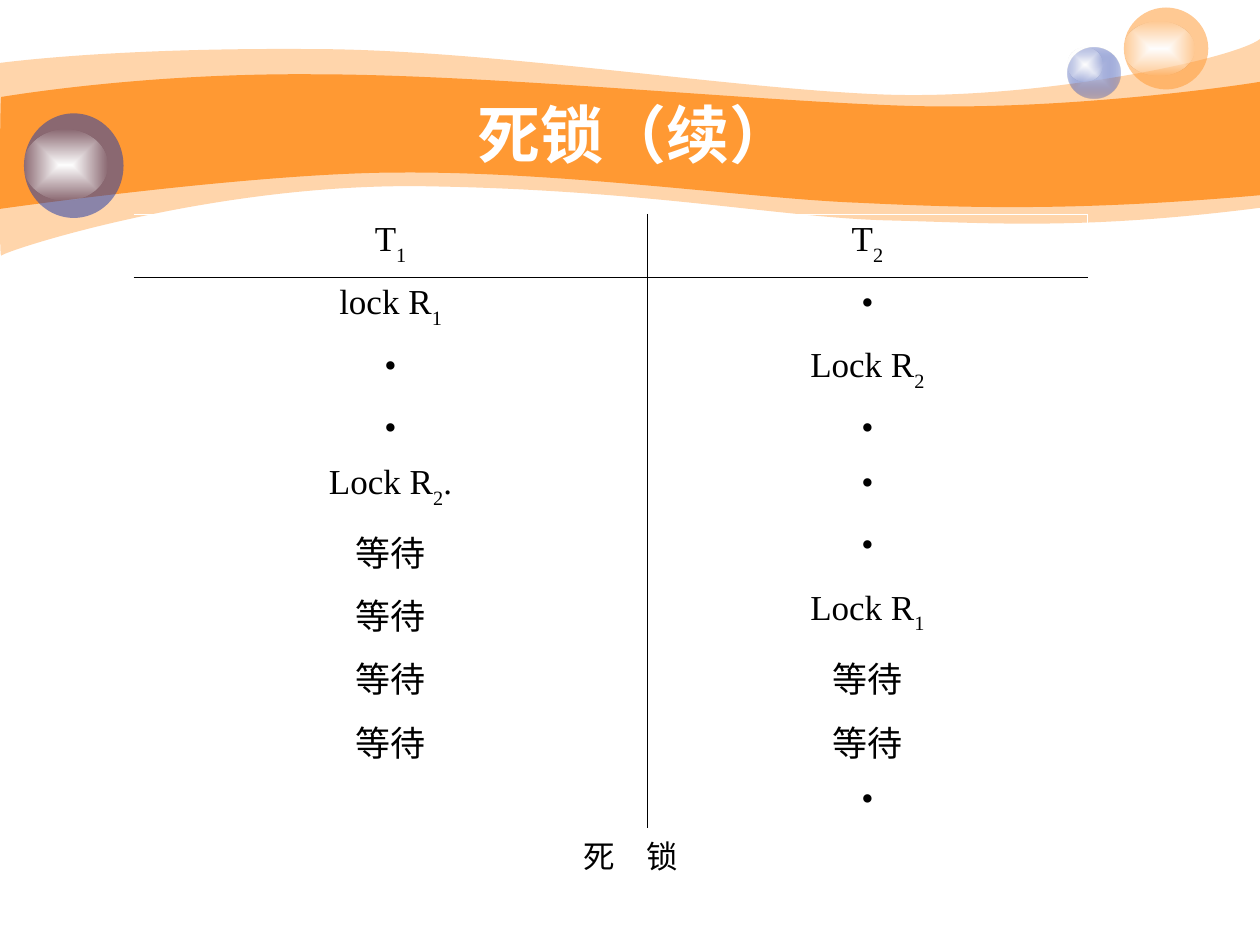
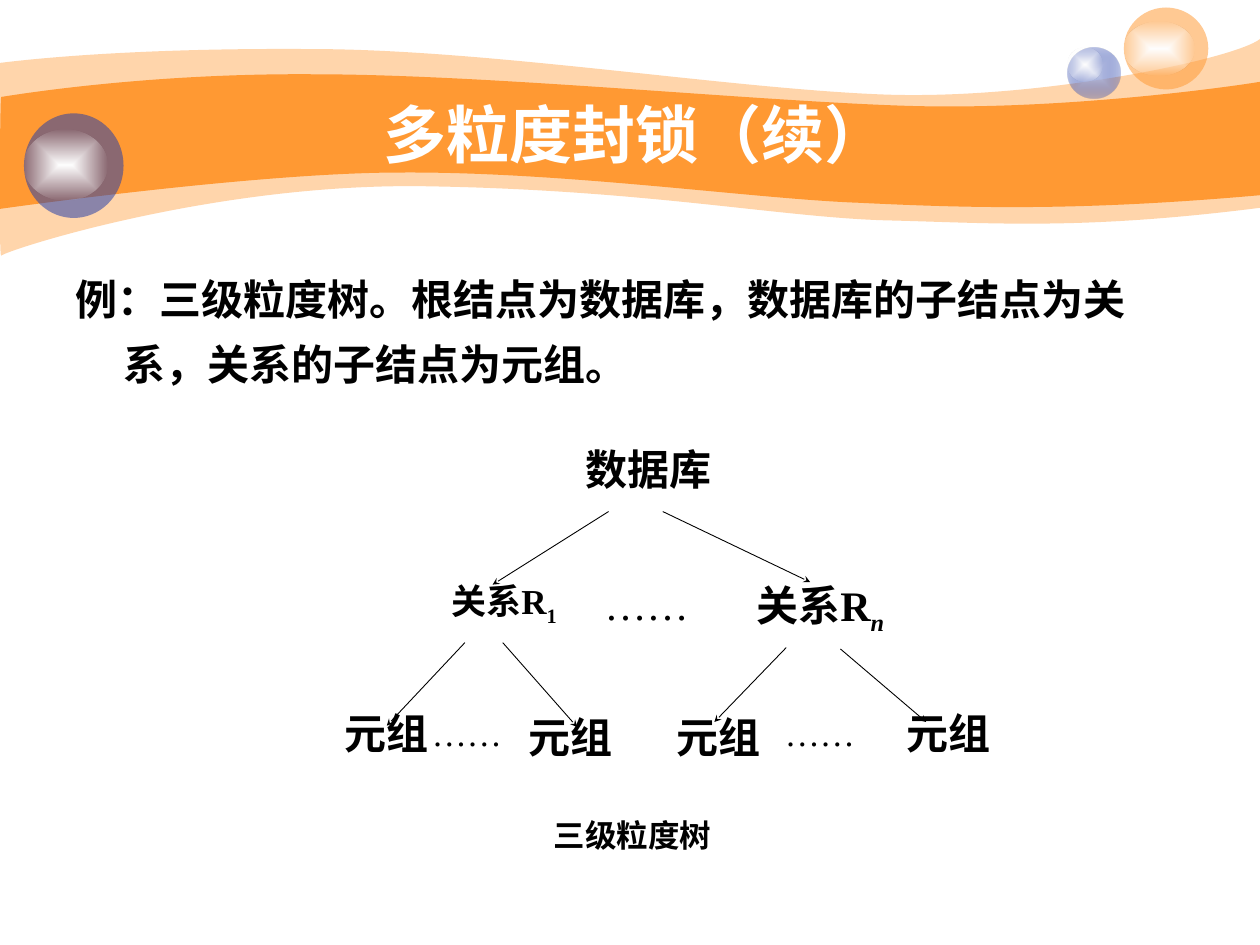
"""Build two lecture slides on deadlock and multi-granularity locking."""
from dataclasses import dataclass

from lxml import etree
from pptx import Presentation
from pptx.dml.color import RGBColor
from pptx.enum.shapes import MSO_CONNECTOR, MSO_SHAPE
from pptx.enum.text import MSO_ANCHOR, MSO_AUTO_SIZE, PP_ALIGN
from pptx.oxml.ns import qn
from pptx.util import Inches, Pt

LINE = MSO_CONNECTOR.STRAIGHT
OVAL = MSO_SHAPE.OVAL
MID, TOP = MSO_ANCHOR.MIDDLE, MSO_ANCHOR.TOP
FIXED = MSO_AUTO_SIZE.NONE
LEFT, CENTER = PP_ALIGN.LEFT, PP_ALIGN.CENTER
WIDTH, HEIGHT = Inches(10), Inches(7.5)
COLUMN = WIDTH / 10
NO_STYLE = "{2D5ABB26-0587-4C30-8999-92F81FD0307C}"


@dataclass(frozen=True)
class Theme:
    """Colours, fonts and type sizes."""
    orange: str = "FF9933"
    blue: str = "233DA9"
    pale: str = "C7CEE9"
    white: str = "FFFFFF"
    black: str = "000000"
    sans: str = "Arial"
    serif: str = "Times New Roman"
    han: str = "Noto Sans CJK SC"
    head: int = 36
    body: int = 24
    cell: int = 20
    note: int = 18
    rule: float = 0.45
    arrow: float = 0.5


THEME = Theme()

WAVES = [
    ((0, 0.5), 41, [
        [(0.24, 0.47), (1.07, 0.38), (2.47, 0.39)],
        [(3.86, 0.39), (5.75, 0.7), (6.99, 0.75)],
        [(8.22, 0.8), (9.8, 0.47), (10, 0.31)],
        [(10, 1.65)],
        [(8.58, 1.83), (7.87, 1.77), (7.05, 1.75)],
        [(6.22, 1.73), (5.15, 1.51), (3.43, 1.48)],
        [(1.72, 1.44), (0.04, 1.99), (0.01, 2.03)],
        [(-0.01, 2.08), (0, 0.75), (0, 0.5)]]),
    ((0.01, 0.77), 100, [
        [(0.02, 0.77), (1.1, 0.58), (2.48, 0.59)],
        [(3.86, 0.59), (5.95, 0.8), (7.18, 0.84)],
        [(8.41, 0.88), (9.76, 0.69), (10, 0.65)],
        [(10, 1.55)],
        [(8.53, 1.68), (7.65, 1.65), (6.82, 1.61)],
        [(5.99, 1.58), (4.47, 1.36), (3.17, 1.37)],
        [(2.03, 1.37), (-0.02, 1.66), (-0.01, 1.66)],
        [(0, 1.66), (0, 0.77), (0.01, 0.77)]]),
]

LOCKS = [
    ("T_1", "T_2"), ("lock R_1", "•"), ("•", "Lock R_2"), ("•", "•"),
    ("Lock R_2.", "•"), ("等待", "•"), ("等待", "Lock R_1"),
    ("等待", "等待"), ("等待", "等待"), ("", "•"),
]
ROWS = [0.5, 0.5, 0.49, 0.44, 0.49, 0.44, 0.5, 0.44, 0.44, 0.44]

ARROWS = [
    (4.83, 4.06, 3.91, 4.64), (5.26, 4.06, 6.43, 4.62),
    (3.69, 5.1, 3.07, 5.76), (3.99, 5.1, 4.58, 5.77),
    (6.24, 5.14, 5.67, 5.73), (6.67, 5.15, 7.35, 5.73),
]
NODES = [
    ("数据库", THEME.body, (4.43, 3.5, 1.44, 0.64)),
    ("关系R_n", THEME.body, (5.78, 4.55, 1.46, 0.57)),
    ("关系R_1", THEME.cell, (3.16, 4.55, 1.68, 0.91)),
    ("元组", THEME.body, (2.5, 5.59, 1.14, 0.59)),
    ("元组", THEME.body, (6.81, 5.59, 1.44, 0.66)),
    ("元组", THEME.body, (3.96, 5.62, 1.14, 0.59)),
    ("元组", THEME.body, (5.13, 5.62, 1.14, 0.59)),
]
GAPS = [
    (THEME.body, (4.7, 4.57, 1.46, 0.48)),
    (THEME.cell, (6.13, 5.62, 1.28, 0.66)),
    (THEME.cell, (3.33, 5.62, 1.34, 0.48)),
]


def grid(*cells):
    """Turn grid columns and rows into lengths."""
    return [int(cell * COLUMN) for cell in cells]


def tint(color):
    """Make a colour from its hex code."""
    return RGBColor.from_string(color)


def fade(node, share):
    """Set the opacity, in percent, of a node's colour."""
    color = next(node.iter(qn("a:srgbClr")))
    etree.SubElement(color, qn("a:alpha"), val=str(share * 1000))


def plain(shape):
    """Remove the outline and shadow."""
    shape.shadow.inherit = False
    shape.line.fill.background()


def flood(shape, color, share):
    """Fill a shape with one colour at an opacity."""
    shape.fill.solid()
    shape.fill.fore_color.rgb = tint(color)
    if share < 100:
        fade(shape.element.spPr.find(qn("a:solidFill")), share)


def glow(shape, inner, outer, share):
    """Fill a shape from its middle to a fainter edge."""
    shape.fill.gradient()
    for stop, color in zip(shape.fill.gradient_stops, (inner, outer)):
        stop.color.rgb = tint(color)
    node = shape.element.spPr.find(qn("a:gradFill"))
    fade(node.findall(".//" + qn("a:gs"))[1], share)
    node.remove(node.find(qn("a:lin")))
    track = etree.SubElement(node, qn("a:path"), path="rect")
    etree.SubElement(track, qn("a:fillToRect"), dict.fromkeys("ltrb", "50000"))


def bend(shape, parts):
    """Join each three straight steps of an outline into one curve."""
    steps = iter(list(shape.element.iter(qn("a:lnTo"))))
    for part in parts:
        group = [next(steps) for _ in part]
        if len(group) == 3:
            arc = etree.Element(qn("a:cubicBezTo"))
            group[0].addprevious(arc)
            for step in group:
                arc.append(step[0])
                step.getparent().remove(step)


def add_wave(shapes, start, share, parts):
    """Draw one orange wave across the slide."""
    points = [grid(*point) for part in parts for point in part]
    pen = shapes.build_freeform(*grid(*start), scale=1.0)
    pen.add_line_segments(points, close=True)
    wave = pen.convert_to_shape()
    bend(wave, parts)
    plain(wave)
    flood(wave, THEME.orange, share)
    return wave


def add_ball(shapes, ball, shine, color, share):
    """Draw a ball and the white shine on it."""
    orb, spot = [shapes.add_shape(OVAL, *grid(*area)) for area in (ball, shine)]
    plain(orb)
    plain(spot)
    if color == THEME.pale:
        glow(orb, color, THEME.blue, share)
    else:
        flood(orb, color, share)
    glow(spot, THEME.white, THEME.white, 0)
    return [orb, spot]


def dress(deck, slide):
    """Draw the shared waves and balls and move them to the master."""
    shapes = slide.shapes
    parts = [add_wave(shapes, *wave) for wave in WAVES]
    parts += add_ball(shapes, (8.47, 0.38, 0.42, 0.4),
                      (8.47, 0.38, 0.28, 0.27), THEME.pale, 31)
    parts += add_ball(shapes, (8.92, 0.06, 0.67, 0.65),
                      (8.92, 0.17, 0.56, 0.43), THEME.orange, 53)
    parts += add_ball(shapes, (0.19, 0.9, 0.79, 0.83),
                      (0.19, 1.03, 0.66, 0.56), THEME.blue, 53)
    for number, part in enumerate(parts, 20):
        part.element.nvSpPr.cNvPr.set("id", str(number))
        deck.slide_master.shapes.element.append(part.element)


def style(run, size, face, color, bold):
    """Set the font of a run."""
    font = run.font
    font.size, font.name, font.bold = Pt(size), face, bold
    font.color.rgb = tint(color)
    east = THEME.han if any("一" <= mark <= "鿿" for mark in run.text) else face
    etree.SubElement(font._element, qn("a:ea"), typeface=east)


def put(frame, text, size, face=THEME.serif, color=THEME.black,
        bold=False, align=CENTER, drop=-25):
    """Write a line in which an underscore lowers the next letter."""
    line = frame.paragraphs[0]
    base, _, tail = text.partition("_")
    line.text = base
    line.alignment = align
    for part in filter(None, (tail[:1], tail[1:])):
        line.add_run().text = part
    for spot, run in enumerate(line.runs):
        style(run, size, face, color, bold)
        if spot == 1:
            run.font._element.set("baseline", str(drop * 1000))
            run.font.italic = run.text.isalpha()
    return line


def place(shape, area, anchor):
    """Move a placeholder and fix its text."""
    shape.left, shape.top, shape.width, shape.height = grid(*area)
    frame = shape.text_frame
    frame.auto_size, frame.vertical_anchor = FIXED, anchor
    return frame


def add_page(deck, layout, title):
    """Add a slide with its white title."""
    slide = deck.slides.add_slide(deck.slide_layouts[layout])
    frame = place(slide.shapes.title, (1, 0.75, 8.08, 0.62), MID)
    put(frame, title, THEME.head, THEME.sans, THEME.white, True)
    return slide


def add_body(slide, text):
    """Fill the body with one hanging paragraph."""
    frame = place(slide.placeholders[1], (0.5, 2.01, 8.8, 4.92), TOP)
    line = put(frame, text, THEME.body, THEME.sans, bold=True, align=LEFT)
    line.line_spacing, line.space_before = Pt(37), Pt(0)
    props = line._p.get_or_add_pPr()
    props.set("marL", str(Inches(0.38)))
    props.set("indent", str(-Inches(0.38)))
    props.set("hangingPunct", "0")
    etree.SubElement(props, qn("a:buNone"))


def add_label(slide, text, size, area, bold=True, wrap=True, align=CENTER,
              space=None):
    """Add a text box with one line."""
    frame = slide.shapes.add_textbox(*grid(*area)).text_frame
    frame.word_wrap = wrap
    put(frame, text, size, bold=bold, align=align).line_spacing = space


def add_arrow(slide, ends):
    """Add a thin black arrow."""
    arrow = slide.shapes.add_connector(LINE, *grid(*ends))
    arrow.line.width = Pt(THEME.arrow)
    arrow.line.color.rgb = tint(THEME.black)
    etree.SubElement(arrow.line._ln, qn("a:tailEnd"), type="stealth",
                     w="sm", len="sm")
    etree.SubElement(arrow.element.spPr, qn("a:effectLst"))


def edge(cell, sides):
    """Draw the given cell borders and clear the others."""
    props = cell._tc.get_or_add_tcPr()
    for side in "LRTB":
        line = etree.SubElement(props, qn("a:ln" + side), w=str(Pt(THEME.rule)))
        if side in sides:
            fill = etree.SubElement(line, qn("a:solidFill"))
            etree.SubElement(fill, qn("a:srgbClr"), val=sides[side])
        else:
            etree.SubElement(line, qn("a:noFill"))


def add_locks(slide):
    """Add the table of lock steps."""
    frame = slide.shapes.add_table(len(LOCKS), 2, *grid(1.06, 1.7, 7.57, sum(ROWS)))
    next(frame.element.iter(qn("a:tableStyleId"))).text = NO_STYLE
    table = frame.table
    table.first_row = table.horz_banding = False
    for column, width in zip(table.columns, grid(4.08, 3.49)):
        column.width = width
    last = len(LOCKS) - 1
    for row, steps in enumerate(LOCKS):
        table.rows[row].height = Inches(ROWS[row])
        for col, step in enumerate(steps):
            cell = table.cell(row, col)
            put(cell.text_frame, step, THEME.cell, drop=-30)
            sides = {"L": THEME.black} if col else {}
            sides["R"] = THEME.white if col else THEME.black
            if row < 2:
                sides["T"] = THEME.black if row else THEME.white
            if row in (0, last):
                sides["B"] = THEME.white if row else THEME.black
            edge(cell, sides)
            cell.fill.background()


def add_tree(slide):
    """Add the three-level tree."""
    for ends in ARROWS:
        add_arrow(slide, ends)
    for text, size, area in NODES:
        add_label(slide, text, size, area, space=0.96)
    for size, area in GAPS:
        add_label(slide, "……", size, area, bold=False, align=LEFT, space=0.96)


def main():
    """Build and save the deck."""
    deck = Presentation()
    deck.slide_width, deck.slide_height = WIDTH, HEIGHT
    slide = add_page(deck, 5, "死锁（续）")
    dress(deck, slide)
    add_locks(slide)
    add_label(slide, "死　锁", THEME.note, (4.17, 6.59, 1.67, 0.4), False, False)
    slide = add_page(deck, 1, "多粒度封锁（续）")
    add_body(slide, "例：三级粒度树。根结点为数据库，数据库的子结点为关系，关系的子结点为元组。")
    add_tree(slide)
    add_label(slide, "三级粒度树", THEME.note, (3.92, 6.43, 2.2, 0.4), wrap=False)
    deck.save("out.pptx")


if __name__ == "__main__":
    main()
